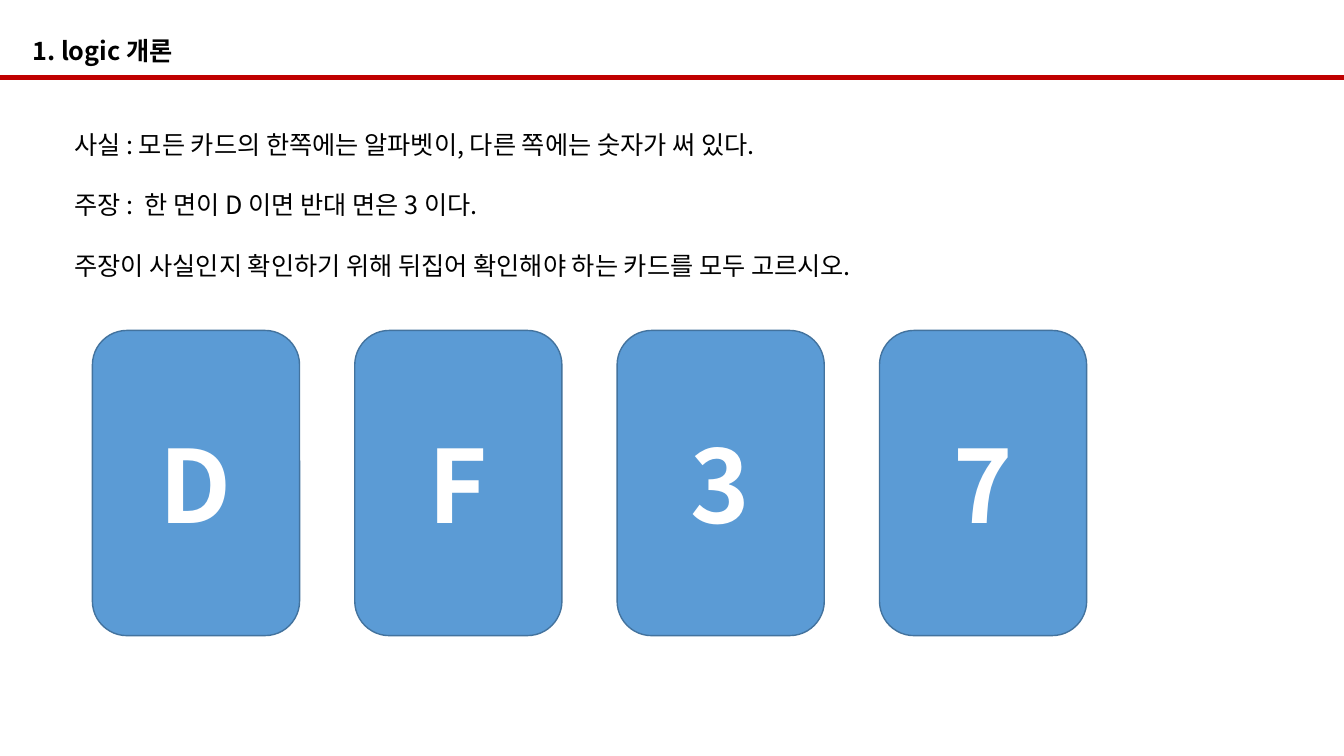
from dataclasses import dataclass

from pptx import Presentation
from pptx.dml.color import RGBColor
from pptx.enum.shapes import MSO_CONNECTOR, MSO_SHAPE
from pptx.enum.text import MSO_ANCHOR, PP_ALIGN
from pptx.oxml.ns import qn
from pptx.slide import Slide
from pptx.text.text import _Paragraph as Paragraph
from pptx.util import Pt
from lxml import etree

ROUNDED = MSO_SHAPE.ROUNDED_RECTANGLE
STRAIGHT = MSO_CONNECTOR.STRAIGHT
MIDDLE = MSO_ANCHOR.MIDDLE
CENTER = PP_ALIGN.CENTER

FONT = "Noto Sans CJK KR"
BLACK, WHITE = "000000", "FFFFFF"
CARD_BLUE, CARD_EDGE, RULE_RED = "5B9BD5", "43739E", "C00000"

PAGE_WIDTH, PAGE_HEIGHT = 960, 540
RULE_TOP = 55.4
CARD_LEFT, CARD_TOP = 66, 236
CARD_WIDTH, CARD_HEIGHT = 148, 218
CARD_PITCH = 187.4
CARD_FACES = "DF37"
LINE_HEIGHT = 21.6


@dataclass
class TextBlock:
    left: float
    top: float
    width: float
    height: float
    lines: list[str]
    bold: bool = False


TEXT_BLOCKS = [
    TextBlock(16, 21.6, 198, 29, ["1. logic 개론"], bold=True),
    TextBlock(46, 88.6, 853, 116.6, [
        "사실 : 모든 카드의 한쪽에는 알파벳이, 다른 쪽에는 숫자가 써 있다.",
        "주장 :  한 면이 D 이면 반대 면은 3 이다.",
        "주장이 사실인지 확인하기 위해 뒤집어 확인해야 하는 카드를 모두 고르시오.",
    ]),
]


def color(value: str) -> RGBColor:
    return RGBColor.from_string(value)


def write(para: Paragraph, text: str, size: float, ink: str, bold: bool) -> None:
    span = para.add_run()
    span.text = text
    para.font.size = Pt(size)
    para.font.name = FONT
    para.font.bold = bold
    para.font.color.rgb = color(ink)
    # Hangul takes its font from the East Asian slot
    east_asian = etree.SubElement(para.font._element, qn("a:ea"))
    east_asian.set("typeface", FONT)


def draw_text(page: Slide, block: TextBlock) -> None:
    box = page.shapes.add_textbox(
        Pt(block.left), Pt(block.top), Pt(block.width), Pt(block.height))
    frame = box.text_frame
    frame.word_wrap = True
    for index, line in enumerate(block.lines):
        para = frame.add_paragraph() if index else frame.paragraphs[0]
        write(para, line, 18, BLACK, block.bold)
        para.line_spacing = Pt(LINE_HEIGHT)
        para.space_before = Pt(LINE_HEIGHT if index else 0)


def draw_card(page: Slide, left: float, face: str) -> None:
    card = page.shapes.add_shape(
        ROUNDED, Pt(left), Pt(CARD_TOP), Pt(CARD_WIDTH), Pt(CARD_HEIGHT))
    card.shadow.inherit = False
    card.fill.solid()
    card.fill.fore_color.rgb = color(CARD_BLUE)
    card.line.color.rgb = color(CARD_EDGE)
    card.line.width = Pt(1)
    card.text_frame.vertical_anchor = MIDDLE
    para = card.text_frame.paragraphs[0]
    para.alignment = CENTER
    write(para, face, 72, WHITE, True)


def draw_rule(page: Slide) -> None:
    rule = page.shapes.add_connector(
        STRAIGHT, Pt(0), Pt(RULE_TOP), Pt(PAGE_WIDTH), Pt(RULE_TOP))
    rule.line.color.rgb = color(RULE_RED)
    rule.line.width = Pt(3)
    etree.SubElement(rule._element.spPr, qn("a:effectLst"))


def main() -> None:
    deck = Presentation()
    deck.slide_width, deck.slide_height = Pt(PAGE_WIDTH), Pt(PAGE_HEIGHT)
    page = deck.slides.add_slide(deck.slide_layouts[6])

    # Heading and puzzle statement
    for block in TEXT_BLOCKS:
        draw_text(page, block)

    # Row of cards
    for index, face in enumerate(CARD_FACES):
        draw_card(page, CARD_LEFT + index * CARD_PITCH, face)

    # Red line under the heading
    draw_rule(page)

    deck.save("out.pptx")


if __name__ == "__main__":
    main()
